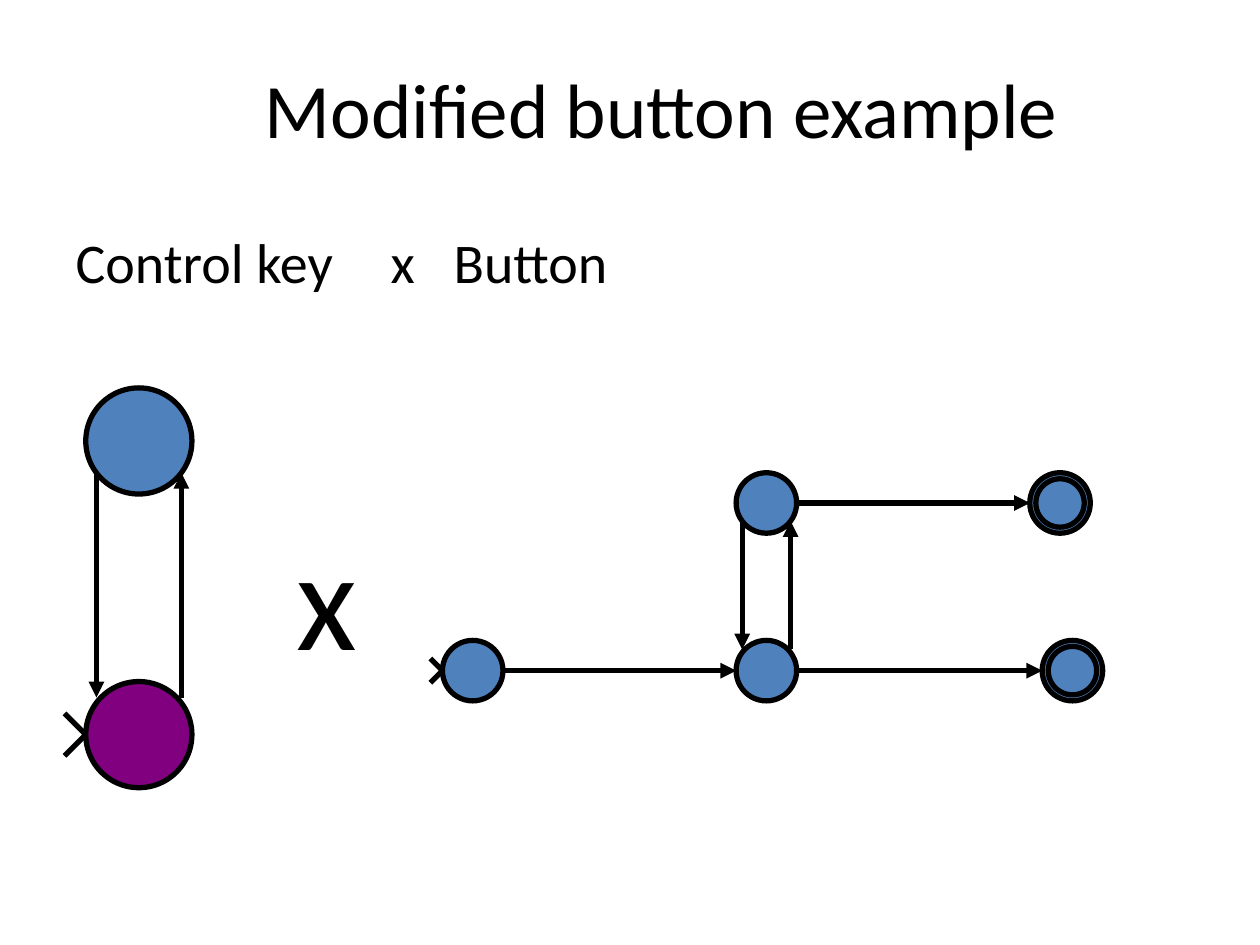
"""Build a slide of state machines for a modified button."""
from dataclasses import dataclass

from lxml import etree
from pptx import Presentation
from pptx.dml.color import RGBColor
from pptx.enum.shapes import MSO_CONNECTOR, MSO_SHAPE
from pptx.enum.text import MSO_ANCHOR, PP_ALIGN
from pptx.oxml.ns import qn
from pptx.util import Cm, Pt

BLACK = RGBColor(0x00, 0x00, 0x00)
BLUE = RGBColor(0x4F, 0x81, 0xBD)
PURPLE = RGBColor(0x80, 0x00, 0x80)
OVAL = MSO_SHAPE.OVAL
STRAIGHT = MSO_CONNECTOR.STRAIGHT
MIDDLE, TOP = MSO_ANCHOR.MIDDLE, MSO_ANCHOR.TOP
CENTER, LEFT = PP_ALIGN.CENTER, PP_ALIGN.LEFT
BIG, SMALL = 1.07, 0.61


@dataclass(frozen=True)
class State:
    """A circle with its centre and radius in centimetres."""
    x: float
    y: float
    r: float
    fill: RGBColor = BLUE
    start: bool = False
    final: bool = False


def put(target: object, values: dict) -> None:
    """Set each named value on the target."""
    for name, value in values.items():
        setattr(target, name, value)


def write(shape, text: str, box: tuple, size: int, frame: dict, para: dict) -> None:
    """Place a text shape and fill it with one formatted paragraph."""
    sides = ("left", "top", "width", "height")
    put(shape, dict(zip(sides, map(Cm, box))))
    put(shape.text_frame, {"word_wrap": True, **frame})
    line = shape.text_frame.paragraphs[0]
    put(line, para)
    run = line.add_run()
    run.text = text
    put(run.font, {"name": "Calibri", "size": Pt(size)})
    run.font.color.rgb = BLACK


def set_tabs(line, stops: tuple) -> None:
    """Drop the bullet and add left tab stops to a paragraph."""
    props = line._p.get_or_add_pPr()
    put_at = {"marL": "0", "indent": "0"}
    for name, value in put_at.items():
        props.set(name, value)
    etree.SubElement(props, qn("a:buNone"))
    tabs = etree.SubElement(props, qn("a:tabLst"))
    for stop in stops:
        etree.SubElement(tabs, qn("a:tab"), pos=str(int(Cm(stop))), algn="l")


def ink(shape) -> None:
    """Give a shape the black outline."""
    shape.line.color.rgb = BLACK
    shape.line.width = Pt(3)


def disc(shapes, state: State, r: float) -> None:
    """Draw one circle around the centre of a state."""
    shape = shapes.add_shape(
        OVAL, Cm(state.x - r), Cm(state.y - r), Cm(2 * r), Cm(2 * r))
    shape.shadow.inherit = False
    shape.fill.solid()
    shape.fill.fore_color.rgb = state.fill
    ink(shape)


def draw(shapes, state: State) -> None:
    """Draw a state with its start mark or its final ring."""
    if state.start:
        tip, arm = state.x - state.r, 0.4 * state.r
        pen = shapes.build_freeform(Cm(tip - arm), Cm(state.y - arm))
        pen.add_line_segments(
            [(Cm(tip), Cm(state.y)), (Cm(tip - arm), Cm(state.y + arm))],
            close=False)
        mark = pen.convert_to_shape()
        mark.shadow.inherit = False
        mark.fill.background()
        ink(mark)
    disc(shapes, state, state.r)
    if state.final:
        disc(shapes, state, 0.8 * state.r)


def arrow(shapes, x1: float, y1: float, x2: float, y2: float) -> None:
    """Draw an arrow that points at its second end."""
    link = shapes.add_connector(STRAIGHT, Cm(x1), Cm(y1), Cm(x2), Cm(y2))
    ink(link)
    props = link.element.spPr
    etree.SubElement(props.find(qn("a:ln")), qn("a:tailEnd"), type="triangle")
    etree.SubElement(props, qn("a:effectLst"))


def step(shapes, a: State, b: State) -> None:
    """Link two states of one row."""
    arrow(shapes, a.x + a.r, a.y, b.x - b.r, b.y)


def cycle(shapes, high: State, low: State) -> None:
    """Link two stacked states in both directions."""
    side = 0.8 * high.r
    top, base = high.y + 0.6 * high.r, low.y - 0.7 * low.r
    arrow(shapes, high.x - side, top, high.x - side, base)
    arrow(shapes, high.x + side, base, high.x + side, top)


def main() -> None:
    """Build and save the slide."""
    deck = Presentation()
    put(deck, {"slide_width": Cm(25.4), "slide_height": Cm(19.05)})
    slide = deck.slides.add_slide(deck.slide_layouts[1])
    shapes = slide.shapes
    body = slide.placeholders[1]
    write(shapes.title, "Modified button example", (1.27, 0.76, 24.13, 3.18), 44,
          {"vertical_anchor": MIDDLE}, {"alignment": CENTER, "line_spacing": 0.8})
    write(body, "Control key\tx\tButton", (1.27, 4.45, 24.13, 13.97), 32,
          {"vertical_anchor": TOP}, {"alignment": LEFT})
    set_tabs(body.text_frame.paragraphs[0], (5.7, 6.95))

    off = State(2.8, 14.81, BIG, PURPLE, start=True)
    on = State(2.8, 8.89, BIG)
    for state in (off, on):
        draw(shapes, state)
    cycle(shapes, on, off)

    row, upper = 13.52, 10.14
    idle = State(9.53, row, SMALL, start=True)
    low = State(15.45, row, SMALL)
    high = State(15.45, upper, SMALL)
    done = State(21.62, row, SMALL, final=True)
    quit = State(21.37, upper, SMALL, final=True)
    group = shapes.add_group_shape().shapes
    for state in (idle, low, high, done, quit):
        draw(group, state)
    for a, b in ((idle, low), (low, done), (high, quit)):
        step(group, a, b)
    cycle(group, high, low)

    box = (5.72, 10.16, 1.9, 3.63)
    write(shapes.add_textbox(*map(Cm, box)), "x", box, 80,
          {"vertical_anchor": TOP}, {"alignment": LEFT})
    deck.save("out.pptx")


if __name__ == "__main__":
    main()
